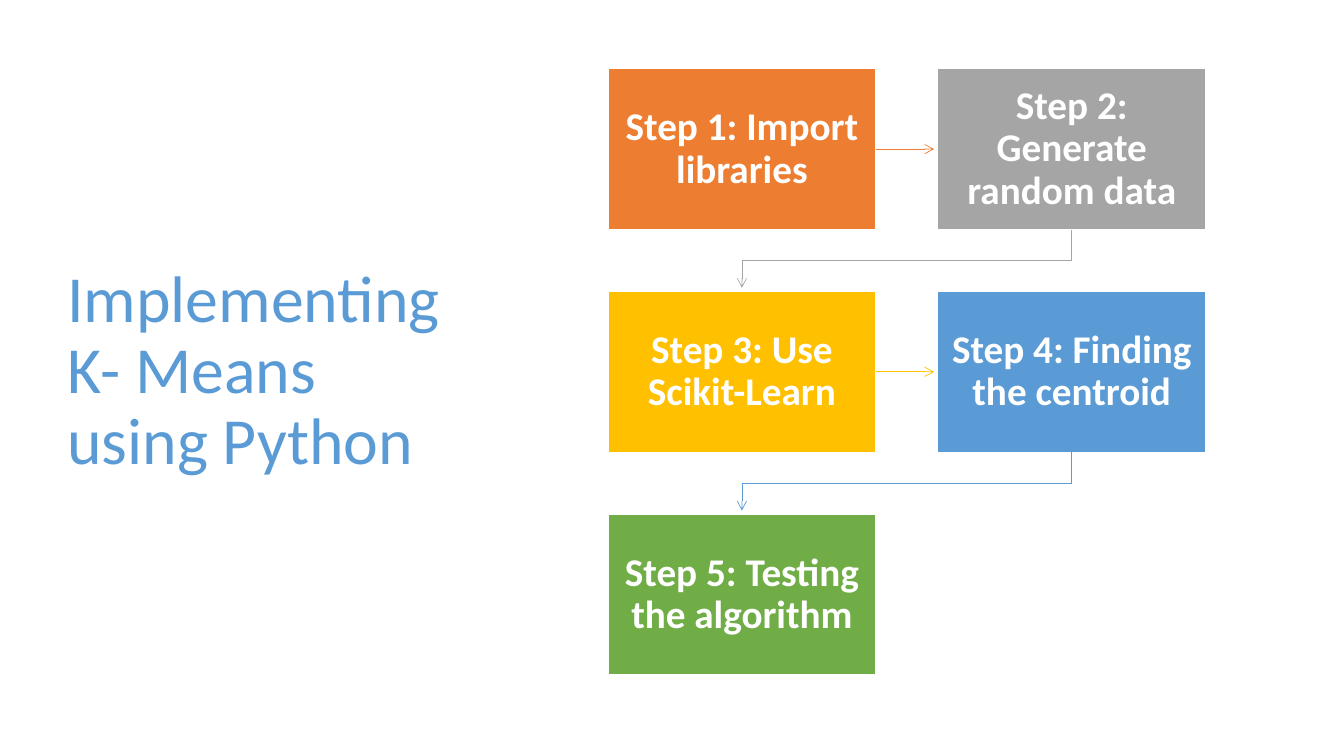
from lxml import etree
from pptx import Presentation
from pptx.dml.color import RGBColor
from pptx.enum.shapes import MSO_CONNECTOR, MSO_SHAPE
from pptx.enum.text import MSO_ANCHOR, PP_ALIGN
from pptx.oxml.ns import qn
from pptx.util import Pt

RECT = MSO_SHAPE.RECTANGLE
STRAIGHT = MSO_CONNECTOR.STRAIGHT
MIDDLE = MSO_ANCHOR.MIDDLE
LEFT, CENTER = PP_ALIGN.LEFT, PP_ALIGN.CENTER
RIGHT_SIDE = 3

COLORS = {
    "white": "FFFFFF",
    "orange": "ED7D31",
    "gray": "A5A5A5",
    "yellow": "FFC000",
    "blue": "5B9BD5",
    "green": "70AD47",
}
STEPS = [
    ("Step 1: Import libraries", "orange"),
    ("Step 2: Generate random data", "gray"),
    ("Step 3: Use Scikit-Learn", "yellow"),
    ("Step 4: Finding the centroid", "blue"),
    ("Step 5: Testing the algorithm", "green"),
]
COLUMNS = 2
GRID_LEFT, GRID_TOP = 434.2, 49
BOX_W, BOX_H = 191.5, 115
PITCH_X, PITCH_Y = 235.6, 159.1
ARROW_GAP = 2.5
TITLE_FONT = {"name": "Calibri", "size": Pt(47), "bold": False}
STEP_FONT = {"name": "Calibri", "size": Pt(28), "bold": True}


def rgb(name):
    return RGBColor.from_string(COLORS[name])


def set_text(sp, text, font, color, align, inset_x, inset_y):
    tf = sp.text_frame
    frame = {"word_wrap": True, "vertical_anchor": MIDDLE,
             "margin_left": Pt(inset_x), "margin_right": Pt(inset_x),
             "margin_top": Pt(inset_y), "margin_bottom": Pt(inset_y)}
    for key, value in frame.items():
        setattr(tf, key, value)
    p = tf.paragraphs[0]
    p.alignment = align
    p.line_spacing = 0.9
    r = p.add_run()
    r.text = text
    for key, value in font.items():
        setattr(r.font, key, value)
    r.font.color.rgb = rgb(color)


def add_title(s, text):
    sp = s.shapes.add_textbox(Pt(41), Pt(49), Pt(299.5), Pt(433.4))
    set_text(sp, text, TITLE_FONT, "blue", LEFT, 7.2, 3.6)


def add_step(s, index, text, color):
    row, column = divmod(index, COLUMNS)
    sp = s.shapes.add_shape(RECT, Pt(GRID_LEFT + column * PITCH_X),
                            Pt(GRID_TOP + row * PITCH_Y), Pt(BOX_W), Pt(BOX_H))
    sp.shadow.inherit = False
    sp.fill.solid()
    sp.fill.fore_color.rgb = rgb(color)
    sp.line.color.rgb = rgb("white")
    sp.line.width = Pt(1)
    set_text(sp, text, STEP_FONT, "white", CENTER, 9, 10)
    return sp


def style_arrow(sp, color):
    sp.line.color.rgb = rgb(color)
    sp.line.width = Pt(0.5)
    ln = sp.line._get_or_add_ln()
    etree.SubElement(ln, qn("a:tailEnd"), type="arrow")


def add_row_arrow(s, box, next_box, color):
    y = box.top + box.height // 2
    sp = s.shapes.add_connector(STRAIGHT, box.left + box.width, y,
                                next_box.left - Pt(ARROW_GAP), y)
    sp.begin_connect(box, RIGHT_SIDE)
    style_arrow(sp, color)
    etree.SubElement(sp._element.spPr, qn("a:effectLst"))


def add_return_arrow(s, box, next_box, color):
    """Bent arrow from the bottom of a row's last box to the next row's first."""
    start_x = box.left + box.width // 2
    end_x = next_box.left + next_box.width // 2
    bottom = box.top + box.height
    bend = (bottom + next_box.top) // 2
    builder = s.shapes.build_freeform(start_x, bottom)
    builder.add_line_segments([(start_x, bend), (end_x, bend),
                               (end_x, next_box.top - Pt(ARROW_GAP))], close=False)
    sp = builder.convert_to_shape()
    sp.shadow.inherit = False
    sp.fill.background()
    style_arrow(sp, color)


def main():
    prs = Presentation()
    prs.slide_width, prs.slide_height = Pt(960), Pt(540)
    s = prs.slides.add_slide(prs.slide_layouts[6])
    add_title(s, "Implementing K- Means using Python")
    boxes = [add_step(s, i, text, color) for i, (text, color) in enumerate(STEPS)]
    for (_, color), box, next_box in zip(STEPS, boxes, boxes[1:]):
        add_arrow = add_row_arrow if box.top == next_box.top else add_return_arrow
        add_arrow(s, box, next_box, color)
    prs.save("out.pptx")


if __name__ == "__main__":
    main()
